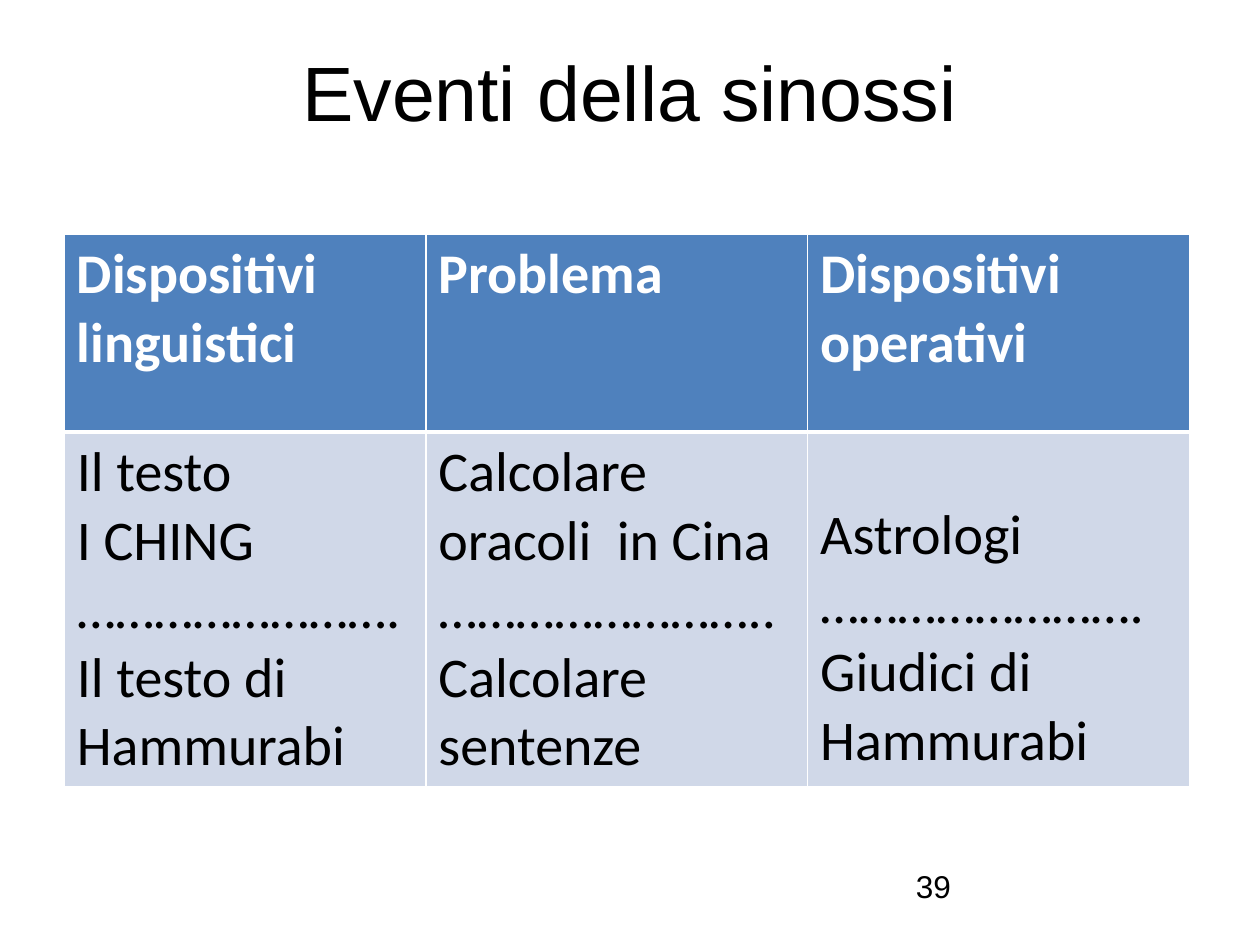
from dataclasses import dataclass

from lxml.etree import SubElement
from pptx import Presentation
from pptx.dml.color import RGBColor
from pptx.enum.text import MSO_ANCHOR, PP_ALIGN
from pptx.oxml.ns import qn
from pptx.util import Inches, Pt


@dataclass(frozen=True)
class Theme:
    heading_font: str = "Arial"
    table_font: str = "Calibri"
    ink: str = "000000"
    paper: str = "FFFFFF"
    header_fill: str = "4F81BD"
    body_fill: str = "D0D8E8"
    title_size: int = 44
    table_size: int = 32
    number_size: int = 18
    thin_rule: int = 1
    thick_rule: int = 3


class SlideBuilder:
    def __init__(self, slide, theme):
        self.slide = slide
        self.theme = theme

    def style(self, paragraph, name, size, color, bold=False):
        font = paragraph.font
        font.name = name
        font.size = Pt(size)
        font.bold = bold
        font.color.rgb = RGBColor.from_string(color)

    def title(self, text, left, top, width, height):
        title = self.slide.shapes.title
        title.left, title.top = Inches(left), Inches(top)
        title.width, title.height = Inches(width), Inches(height)
        frame = title.text_frame
        frame.text = text
        frame.vertical_anchor = MSO_ANCHOR.TOP
        heading = frame.paragraphs[0]
        heading.alignment = PP_ALIGN.CENTER
        self.style(heading, self.theme.heading_font, self.theme.title_size, self.theme.ink)

    def page_number(self, text, left, top, width, height):
        box = self.slide.shapes.add_textbox(
            Inches(left), Inches(top), Inches(width), Inches(height))
        frame = box.text_frame
        frame.word_wrap = True
        frame.text = text
        self.style(frame.paragraphs[0], self.theme.heading_font,
                   self.theme.number_size, self.theme.ink)

    def borders(self, cell, is_header):
        thin, thick = self.theme.thin_rule, self.theme.thick_rule
        top, bottom = (thin, thick) if is_header else (thick, thin)
        properties = cell._tc.get_or_add_tcPr()
        for side, points in (("L", thin), ("R", thin), ("T", top), ("B", bottom)):
            rule = SubElement(properties, qn(f"a:ln{side}"), w=str(Pt(points)))
            fill = SubElement(rule, qn("a:solidFill"))
            SubElement(fill, qn("a:srgbClr"), val=self.theme.paper)

    def cell(self, cell, lines, is_header):
        theme = self.theme
        self.borders(cell, is_header)
        cell.fill.solid()
        cell.fill.fore_color.rgb = RGBColor.from_string(
            theme.header_fill if is_header else theme.body_fill)
        cell.text = "\n".join(lines)
        for paragraph in cell.text_frame.paragraphs:
            self.style(paragraph, theme.table_font, theme.table_size,
                       theme.paper if is_header else theme.ink, is_header)

    def table(self, rows, left, top, widths, heights):
        table = self.slide.shapes.add_table(
            len(heights), len(widths), Inches(left), Inches(top),
            Inches(sum(widths)), Inches(sum(heights))).table
        for column, width in zip(table.columns, widths):
            column.width = Inches(width)
        for row, height in zip(table.rows, heights):
            row.height = Inches(height)
        for row_index, row in enumerate(rows):
            for column_index, lines in enumerate(row):
                self.cell(table.cell(row_index, column_index), lines, row_index == 0)
        return table


def main():
    presentation = Presentation()
    presentation.slide_width, presentation.slide_height = Inches(10), Inches(7.5)
    slide = presentation.slides.add_slide(presentation.slide_layouts[5])
    builder = SlideBuilder(slide, Theme())

    builder.title("Eventi della sinossi", 0.5, 0.3, 9, 1.25)
    headings = [["Dispositivi linguistici"], ["Problema"], ["Dispositivi operativi"]]
    events = [
        ["Il testo", "I CHING", "…………………….", "Il testo di Hammurabi"],
        ["Calcolare oracoli  in Cina", "……………………..", "Calcolare sentenze"],
        ["Astrologi", "…………………….", "Giudici di Hammurabi"],
    ]
    synopsis = builder.table([headings, events], 0.51, 1.86, [2.87, 3.03, 3.03], [1.57, 2.8])
    synopsis.cell(1, 2).margin_top = Inches(0.55)
    builder.page_number("39", 7.17, 6.83, 2.33, 0.52)

    presentation.save("out.pptx")


if __name__ == "__main__":
    main()
